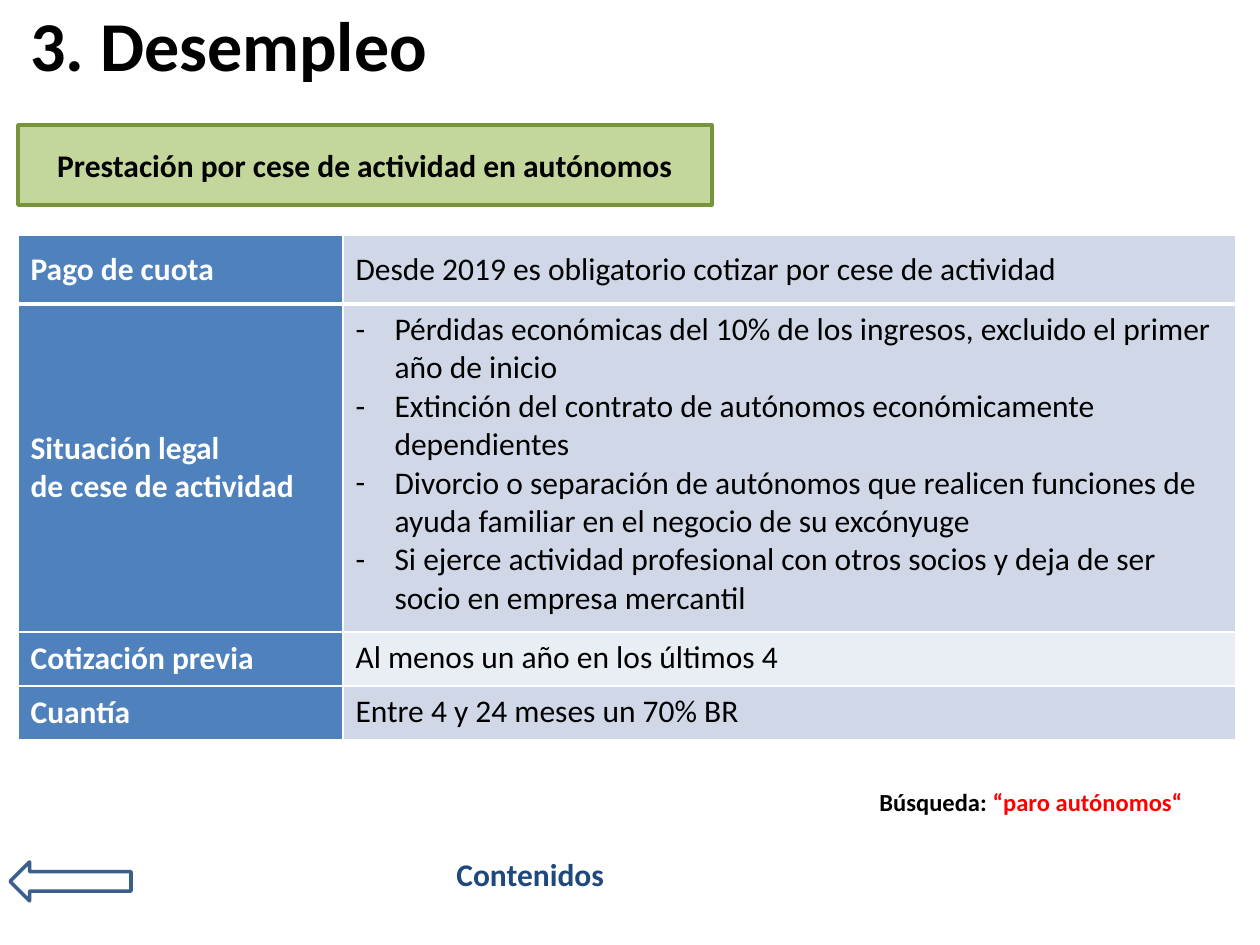
from pptx import Presentation
from pptx.dml.color import RGBColor
from pptx.enum.shapes import MSO_SHAPE
from pptx.enum.text import MSO_ANCHOR, PP_ALIGN
from pptx.oxml.ns import qn
from pptx.util import Pt
from lxml.etree import SubElement

PX = 914400 // 126
FONT = "Calibri"
C = {
    "black": "000000", "white": "FFFFFF", "navy": "1F497D", "red": "FF0000",
    "green": "C3D69B", "green_line": "77933C", "arrow": "3A5F8C",
    "label": "4F81BD", "band": "D0D8E8", "band_light": "E9EDF4",
}
TITLE = "3. Desempleo"
SUBTITLE = "Prestación por cese de actividad en autónomos"
SEARCH = [("Búsqueda: ", "black"), ("“paro autónomos“", "red")]
LINK = "Contenidos"
COLS = [325, 893]
ROWS = [
    (69, ["Pago de cuota"],
     ["Desde 2019 es obligatorio cotizar por cese de actividad"], "band"),
    (328, ["Situación legal", "de cese de actividad"],
     ["Pérdidas económicas del 10% de los ingresos, excluido el primer año de inicio",
      "Extinción del contrato de autónomos económicamente dependientes",
      "Divorcio o separación de autónomos que realicen funciones de ayuda familiar "
      "en el negocio de su excónyuge",
      "Si ejerce actividad profesional con otros socios y deja de ser socio en "
      "empresa mercantil"], "band"),
    (54, ["Cotización previa"], ["Al menos un año en los últimos 4"], "band_light"),
    (54, ["Cuantía"], ["Entre 4 y 24 meses un 70% BR"], "band"),
]


def px(*values):
    return [v * PX for v in values]


def rgb(name):
    return RGBColor.from_string(C[name])


def write(tf, paragraphs, size=18, color="black", bold=True, align=None, bullet=False):
    for i, runs in enumerate(paragraphs):
        p = tf.paragraphs[0] if i == 0 else tf.add_paragraph()
        if align is not None:
            p.alignment = align
        if bullet:
            pPr = p._p.get_or_add_pPr()
            pPr.set("marL", str(39 * PX))
            pPr.set("indent", str(-39 * PX))
            SubElement(pPr, qn("a:buFont"), typeface=FONT)
            SubElement(pPr, qn("a:buChar"), char="-")
        for text, run_color in [(runs, color)] if isinstance(runs, str) else runs:
            r = p.add_run()
            r.text = text
            r.font.name = FONT
            r.font.size = Pt(size)
            r.font.bold = bold
            r.font.color.rgb = rgb(run_color)


def add_text(box, paragraphs, wrap=True, anchor=MSO_ANCHOR.TOP, **fmt):
    tf = slide.shapes.add_textbox(*px(*box)).text_frame
    tf.word_wrap = wrap
    tf.vertical_anchor = anchor
    write(tf, paragraphs, **fmt)


def add_outlined(kind, box, line, fill=None):
    sp = slide.shapes.add_shape(kind, *px(*box))
    sp.shadow.inherit = False
    if fill:
        sp.fill.solid()
        sp.fill.fore_color.rgb = rgb(fill)
    else:
        sp.fill.background()
    sp.line.color.rgb = rgb(line)
    sp.line.width = Pt(2)
    return sp


def set_borders(cell, **widths):
    tcPr = cell._tc.get_or_add_tcPr()
    for i, side in enumerate("LRTB"):
        ln = tcPr.makeelement(qn(f"a:ln{side}"), {"w": str(Pt(widths.get(side, 1)))})
        SubElement(SubElement(ln, qn("a:solidFill")), qn("a:srgbClr"), val=C["white"])
        tcPr.insert(i, ln)


prs = Presentation()
prs.slide_width, prs.slide_height = px(1260, 945)
slide = prs.slides.add_slide(prs.slide_layouts[6])

add_text((18, 4, 1187, 79), [TITLE], size=40, anchor=MSO_ANCHOR.MIDDLE)

sp = add_outlined(MSO_SHAPE.RECTANGLE, (18, 125, 694, 80), "green_line", "green")
sp.text_frame.word_wrap = True
sp.text_frame.vertical_anchor = MSO_ANCHOR.MIDDLE
write(sp.text_frame, [SUBTITLE], align=PP_ALIGN.CENTER)

add_text((444, 849, 181, 50), [LINK], color="navy")
add_outlined(MSO_SHAPE.LEFT_ARROW, (10, 862, 121, 39), "arrow")

height = sum(row[0] for row in ROWS)
table = slide.shapes.add_table(len(ROWS), 2, *px(18, 235, sum(COLS), height)).table
for col, width in zip(table.columns, COLS):
    col.width = width * PX
for i, (row_height, label, detail, band) in enumerate(ROWS):
    table.rows[i].height = row_height * PX
    edges = {"B": 3} if i == 0 else {"T": 3} if i == 1 else {}
    for j, (lines, fill) in enumerate([(label, "label"), (detail, band)]):
        cell = table.cell(i, j)
        cell.fill.solid()
        cell.fill.fore_color.rgb = rgb(fill)
        middle = j == 0 or i == 0
        cell.vertical_anchor = MSO_ANCHOR.MIDDLE if middle else MSO_ANCHOR.TOP
        write(cell.text_frame, lines, color="black" if j else "white",
              bold=j == 0, bullet=j == 1 and len(lines) > 1)
        set_borders(cell, **edges)

add_text((866, 781, 330, 43), [SEARCH], size=14, wrap=False, align=PP_ALIGN.CENTER)

prs.save("out.pptx")
